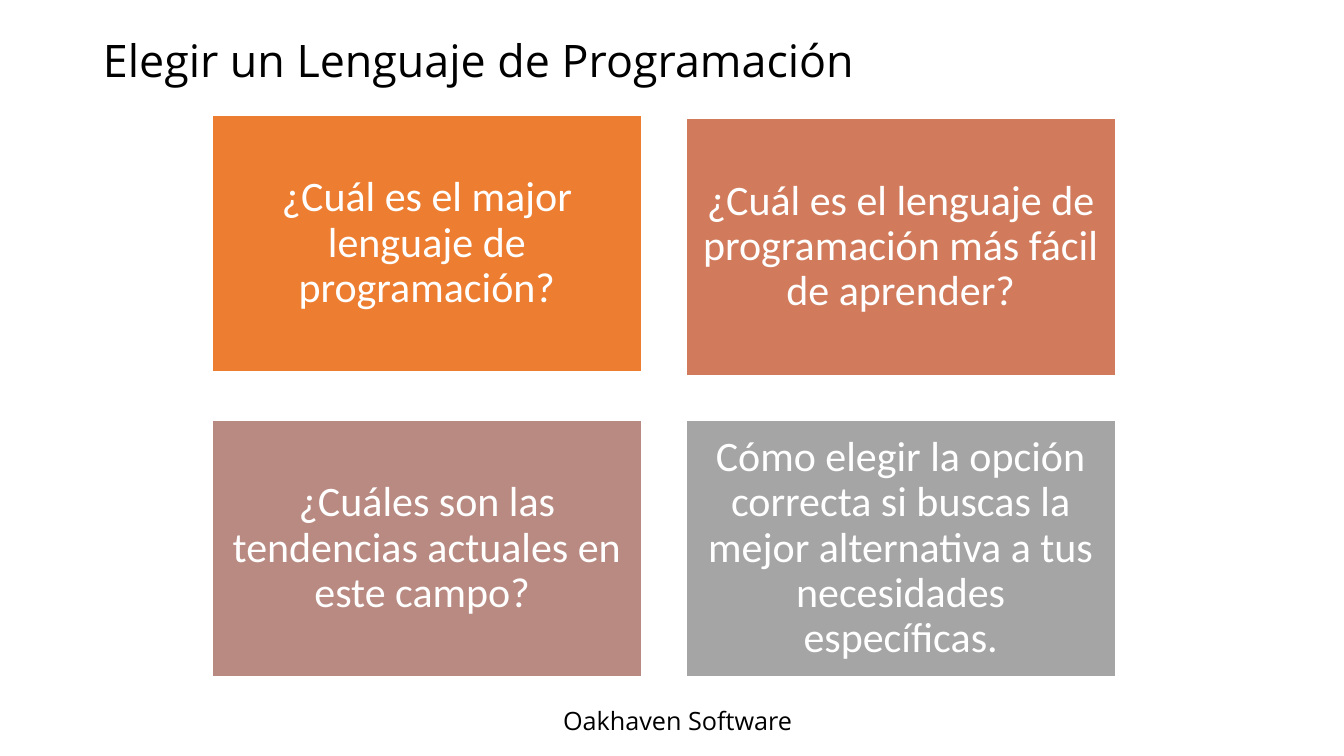
"""Builds the slide on choosing a programming language."""
from dataclasses import dataclass

from pptx import Presentation
from pptx.dml.color import RGBColor
from pptx.enum.shapes import MSO_SHAPE
from pptx.enum.text import MSO_ANCHOR, MSO_AUTO_SIZE, PP_ALIGN
from pptx.util import Cm, Pt

RECTANGLE = MSO_SHAPE.RECTANGLE
MIDDLE = MSO_ANCHOR.MIDDLE
LEFT, CENTER = PP_ALIGN.LEFT, PP_ALIGN.CENTER
NO_AUTOFIT = MSO_AUTO_SIZE.NONE
TITLE_ONLY = 5


@dataclass(frozen=True)
class Theme:
    """Colours, fonts and type sizes of the slide."""
    ink: str = "000000"
    paper: str = "FFFFFF"
    cards: tuple = ("ED7D31", "D17B5C", "B98A82", "A5A5A5")
    heading_font: str = "Open Sans"
    card_font: str = "Calibri"
    title_size: int = 32
    card_size: int = 30
    footer_size: int = 18


THEME = Theme()

QUESTIONS = (
    "¿Cuál es el major lenguaje de programación?",
    "¿Cuál es el lenguaje de programación más fácil de aprender?",
    "¿Cuáles son las tendencias actuales en este campo? ",
    "Cómo elegir la opción correcta si buscas la mejor alternativa a tus "
    "necesidades específicas.",
)


def write(frame, text, font_name, size, color, align=LEFT, line_spacing=1.0):
    """Fill a text frame with one formatted paragraph."""
    frame.text = text
    frame.word_wrap = True
    paragraph = frame.paragraphs[0]
    paragraph.alignment = align
    paragraph.line_spacing = line_spacing
    font = paragraph.runs[0].font
    font.name = font_name
    font.size = Pt(size)
    font.color.rgb = RGBColor.from_string(color)


def place_title(slide, left, top, width, height):
    """Move the title placeholder into its box and format it."""
    title = slide.shapes.title
    title.left, title.top, title.width, title.height = map(Cm, (left, top, width, height))
    frame = title.text_frame
    frame.auto_size = NO_AUTOFIT
    frame.vertical_anchor = MIDDLE
    write(frame, "Elegir un Lenguaje de Programación", THEME.heading_font,
          THEME.title_size, THEME.ink, line_spacing=0.9)


def add_card(slide, question, color, left, top, width, height):
    """Draw one filled card with its centred question."""
    card = slide.shapes.add_shape(RECTANGLE, *map(Cm, (left, top, width, height)))
    card.shadow.inherit = False
    card.fill.solid()
    card.fill.fore_color.rgb = RGBColor.from_string(color)
    card.line.color.rgb = RGBColor.from_string(THEME.paper)
    card.line.width = Pt(1)
    frame = card.text_frame
    frame.margin_left = frame.margin_right = Cm(0.3)
    frame.margin_top = frame.margin_bottom = Cm(0.3)
    frame.vertical_anchor = MIDDLE
    write(frame, question, THEME.card_font, THEME.card_size, THEME.paper, CENTER, 0.9)


def add_question_grid(slide, left, top, width, height, gap=1.12, first_lift=0.08):
    """Lay the questions out two by two, the first card slightly raised."""
    card_width = (width - gap) / 2
    card_height = (height - gap) / 2
    for index, (question, color) in enumerate(zip(QUESTIONS, THEME.cards)):
        row, column = divmod(index, 2)
        card_top = top + row * (card_height + gap) - (first_lift if index == 0 else 0)
        add_card(slide, question, color, left + column * (card_width + gap),
                 card_top, card_width, card_height)


def add_footer(slide, left, top, width, height):
    """Write the publisher's name at the foot of the slide."""
    footer = slide.shapes.add_textbox(*map(Cm, (left, top, width, height)))
    write(footer.text_frame, "Oakhaven Software", THEME.heading_font,
          THEME.footer_size, THEME.ink)


def build_slide(presentation):
    """Add the slide and place its regions."""
    slide = presentation.slides.add_slide(presentation.slide_layouts[TITLE_ONLY])
    slide.background.fill.solid()
    slide.background.fill.fore_color.rgb = RGBColor.from_string(THEME.paper)
    add_footer(slide, 13.94, 17.65, 7.37, 1.02)
    place_title(slide, 2.34, 0.38, 29.21, 2.41)
    add_question_grid(slide, 5.35, 2.98, 22.76, 14.08)


def main():
    """Create the presentation and save it."""
    presentation = Presentation()
    presentation.slide_width = Cm(33.87)
    presentation.slide_height = Cm(19.05)
    build_slide(presentation)
    presentation.save("out.pptx")


main()
